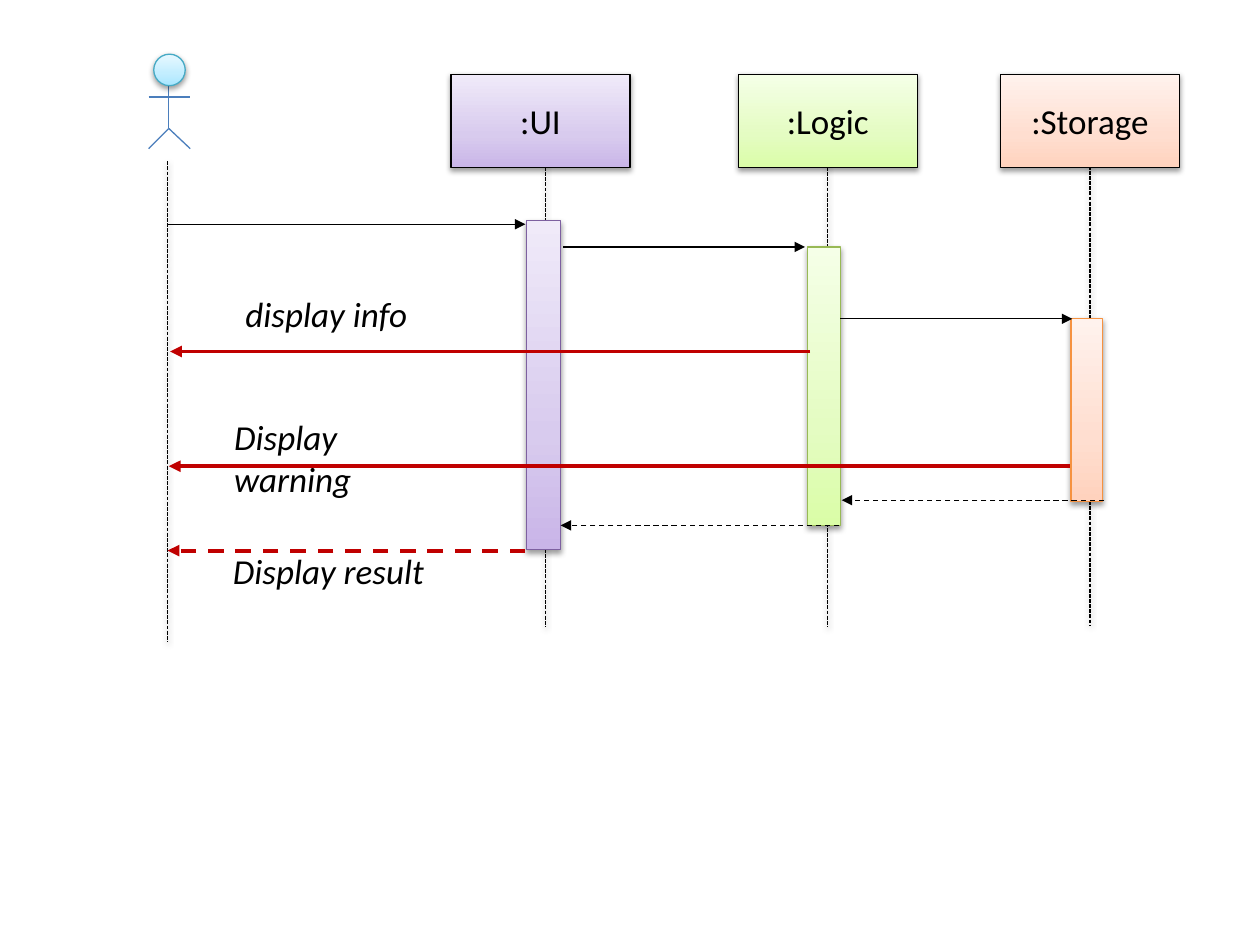
"""Build a sequence diagram of an actor, UI, Logic and Storage."""
from copy import deepcopy

from lxml import etree
from pptx import Presentation
from pptx.dml.color import RGBColor
from pptx.enum.dml import MSO_LINE
from pptx.enum.shapes import MSO_CONNECTOR, MSO_SHAPE
from pptx.enum.text import MSO_AUTO_SIZE, PP_ALIGN
from pptx.oxml import parse_xml
from pptx.oxml.ns import nsdecls, qn
from pptx.util import Pt

PX = 9144
STRAIGHT = MSO_CONNECTOR.STRAIGHT
RECTANGLE, OVAL = MSO_SHAPE.RECTANGLE, MSO_SHAPE.OVAL
DOTTED, DASHED = MSO_LINE.SQUARE_DOT, MSO_LINE.DASH
CENTER = PP_ALIGN.CENTER
GROW = MSO_AUTO_SIZE.SHAPE_TO_FIT_TEXT

BLACK = RGBColor(0x00, 0x00, 0x00)
RED = RGBColor(0xC0, 0x00, 0x00)
ACTOR_LINE = RGBColor(0x4B, 0x7E, 0xBC)
PURPLE_LINE = RGBColor(0x7D, 0x60, 0xA0)
GREEN_LINE = RGBColor(0x98, 0xB9, 0x55)
ORANGE_LINE = RGBColor(0xF6, 0x92, 0x40)
CYAN_LINE = RGBColor(0x46, 0xAA, 0xC5)
PURPLES = RGBColor(0xC9, 0xB5, 0xE8), RGBColor(0xD8, 0xCB, 0xEE), RGBColor(0xF0, 0xEA, 0xF9)
GREENS = RGBColor(0xDA, 0xFD, 0xA7), RGBColor(0xE4, 0xFC, 0xC2), RGBColor(0xF5, 0xFF, 0xE7)
ORANGES = RGBColor(0xFF, 0xD2, 0xBD), RGBColor(0xFF, 0xDE, 0xD0), RGBColor(0xFF, 0xF2, 0xED)
CYANS = RGBColor(0xA7, 0xE6, 0xFF), RGBColor(0xC1, 0xED, 0xFF), RGBColor(0xE7, 0xF8, 0xFF)

SHADOW = (
    f'<a:effectLst {nsdecls("a")}><a:outerShdw blurRad="40000" dist="20000" dir="5400000" '
    'rotWithShape="0"><a:srgbClr val="000000"><a:alpha val="38000"/></a:srgbClr>'
    '</a:outerShdw></a:effectLst>'
)
NO_SHADOW = f'<a:effectLst {nsdecls("a")}/>'


def add_line(shapes, ends, color, width=0.75, dash=None, arrow=False, effect=NO_SHADOW):
    line = shapes.add_connector(STRAIGHT, *(value * PX for value in ends))
    line.line.color.rgb = color
    line.line.width = Pt(width)
    if dash:
        line.line.dash_style = dash
    properties = line._element.spPr
    if arrow:
        etree.SubElement(properties.find(qn("a:ln")), qn("a:tailEnd"), type="triangle")
    properties.append(parse_xml(effect))


def add_gradient_shape(shapes, kind, bounds, colors, outline):
    shape = shapes.add_shape(kind, *(value * PX for value in bounds))
    shape.fill.gradient()
    shape.fill.gradient_angle = 90
    stop_list = shape._element.spPr.find(qn("a:gradFill")).find(qn("a:gsLst"))
    stop_list.append(deepcopy(stop_list[0]))
    for stop, position, color in zip(shape.fill.gradient_stops, (0, 0.35, 1), colors):
        stop.position = position
        stop.color.rgb = color
    shape.line.color.rgb = outline
    shape.line.width = Pt(0.75)
    shape._element.spPr.append(parse_xml(SHADOW))
    return shape


deck = Presentation()
deck.slide_width = 1000 * PX
deck.slide_height = 750 * PX
page = deck.slides.add_slide(deck.slide_layouts[6])
for placeholder in list(page.placeholders):
    placeholder._element.getparent().remove(placeholder._element)

for x, top, bottom in ((133, 128, 509), (433, 112, 497), (657, 112, 497), (865, 111, 496)):
    add_line(page.shapes, (x, top, x, bottom), BLACK, dash=DOTTED, effect=SHADOW)

activations = (
    ((418, 175, 27, 261), PURPLES, PURPLE_LINE),
    ((641, 196, 26, 221), GREENS, GREEN_LINE),
    ((850, 253, 25, 145), ORANGES, ORANGE_LINE),
)
for bounds, colors, outline in activations:
    add_gradient_shape(page.shapes, RECTANGLE, bounds, colors, outline)

messages = (
    (133, 417, 178, BLACK, 0.75, None),
    (447, 639, 196, BLACK, 0.75, None),
    (667, 851, 253, BLACK, 0.75, None),
    (876, 668, 397, BLACK, 0.75, DASHED),
    (666, 445, 417, BLACK, 0.75, DASHED),
    (417, 133, 437, RED, 2.25, DASHED),
    (849, 134, 370, RED, 2.25, None),
    (643, 135, 279, RED, 2.25, None),
)
for start, end, y, color, width, dash in messages:
    add_line(page.shapes, (start, y, end, y), color, width, dash, arrow=True)

captions = []
labels = (
    ("Display warning", 176, 325, 77),
    ("display info", 185, 227, 44),
    ("Display result", 175, 431, 44),
)
for words, left, top, height in labels:
    box = page.shapes.add_textbox(left * PX, top * PX, 200 * PX, height * PX)
    captions.append((box, words, True))

participants = ((":UI", 358, PURPLES), (":Logic", 586, GREENS), (":Storage", 794, ORANGES))
for words, left, colors in participants:
    box = add_gradient_shape(page.shapes, RECTANGLE, (left, 59, 142, 74), colors, BLACK)
    box.text_frame.margin_top = box.text_frame.margin_bottom = 20 * PX
    captions.append((box, words, False))

for box, words, italic in captions:
    box.text_frame.word_wrap = True
    box.text_frame.auto_size = GROW
    para = box.text_frame.paragraphs[0]
    if not italic:
        para.alignment = CENTER
    span = para.add_run()
    span.text = words
    span.font.name = "Calibri"
    span.font.size = Pt(20)
    span.font.italic = italic
    span.font.color.rgb = BLACK

actor = page.shapes.add_group_shape()
limbs = ((134, 60, 134, 102), (118, 77, 151, 77), (134, 102, 118, 118), (134, 102, 151, 118))
for ends in limbs:
    add_line(actor.shapes, ends, ACTOR_LINE)
add_gradient_shape(actor.shapes, OVAL, (122, 43, 25, 25), CYANS, CYAN_LINE)

deck.save("out.pptx")
